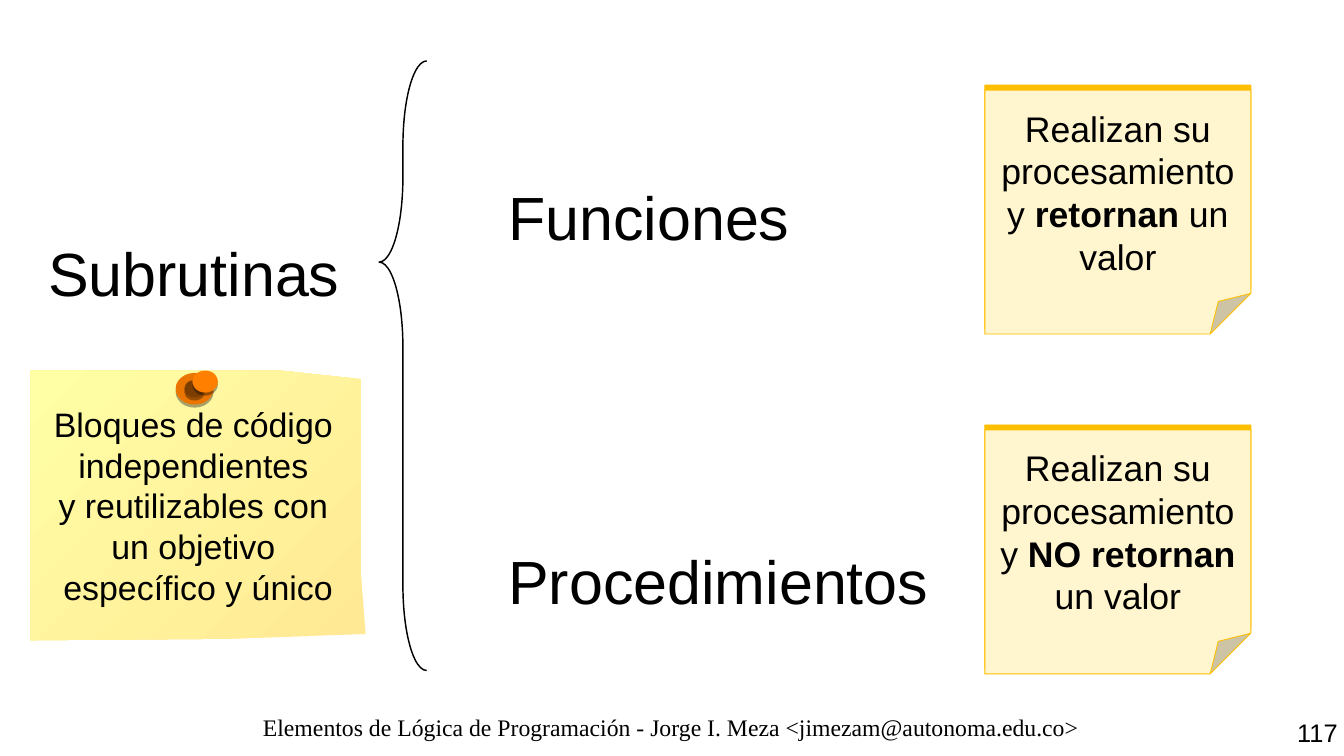
from lxml.etree import SubElement
from pptx import Presentation
from pptx.dml.color import RGBColor
from pptx.enum.shapes import MSO_SHAPE
from pptx.enum.text import MSO_ANCHOR, MSO_AUTO_SIZE, PP_ALIGN
from pptx.oxml.ns import qn
from pptx.util import Cm, Pt

COLORS = {
    "ink": "000000",
    "sticky_light": "FFFFA6",
    "sticky_dark": "FFE994",
    "pin_base": "EA7500",
    "pin_hole": "7B3D00",
    "pin_head": "FF8000",
    "note": "FFF5CE",
    "note_edge": "FFBF00",
}
RGB = {name: RGBColor.from_string(value) for name, value in COLORS.items()}


def write(shape, lines, size, font="Arial", align=PP_ALIGN.CENTER,
          anchor=MSO_ANCHOR.TOP, margins=(0.25, 0.13)):
    """Fill a shape with paragraphs; each line is a list of (text, bold) pairs."""
    frame = shape.text_frame
    frame.word_wrap = True
    frame.auto_size = MSO_AUTO_SIZE.NONE
    frame.vertical_anchor = anchor
    frame.margin_left = frame.margin_right = Cm(margins[0])
    frame.margin_top = frame.margin_bottom = Cm(margins[1])
    for index, line in enumerate(lines):
        para = frame.add_paragraph() if index else frame.paragraphs[0]
        para.alignment = align
        para.font.size = Pt(size)
        para.font.name = font
        para.font.color.rgb = RGB["ink"]
        for text, bold in line:
            span = para.add_run()
            span.text = text
            if bold:
                span.font.bold = True


def add_shadow(shape, color, opacity, distance, angle):
    """Give a shape a hard shadow: opacity in percent, distance in points, angle in degrees."""
    shape.shadow.inherit = False
    effects = shape._element.spPr.find(qn("a:effectLst"))
    shadow = SubElement(effects, qn("a:outerShdw"), blurRad="0", dist=str(Pt(distance)),
                        dir=str(angle * 60000), algn="ctr", rotWithShape="0")
    tint = SubElement(shadow, qn("a:srgbClr"), val=COLORS[color])
    SubElement(tint, qn("a:alpha"), val=str(opacity * 1000))


deck = Presentation()
deck.slide_width, deck.slide_height = Cm(28), Cm(15.75)
page = deck.slides.add_slide(deck.slide_layouts[5])

# Title
title = page.shapes.title
title.left, title.top, title.width, title.height = Cm(0.23), Cm(4.34), Cm(7.62), Cm(2.64)
write(title, [[("Subrutinas", False)]], 36, anchor=MSO_ANCHOR.MIDDLE, margins=(0, 0))

# Brace that opens the two kinds of subroutine
brace = page.shapes.add_shape(MSO_SHAPE.LEFT_BRACE, Cm(7.9), Cm(1.27), Cm(0.99), Cm(12.7))
brace.adjustments[0], brace.adjustments[1] = 1.79, 0.33
brace.fill.background()
brace.line.color.rgb = RGB["ink"]
brace.line.width = Pt(0.85)
brace.shadow.inherit = False

# Kinds of subroutine, each with its folded note
kinds = [("Funciones", "retornan"), ("Procedimientos", "NO retornan")]
for row, (kind, action) in enumerate(kinds):
    label = page.shapes.add_textbox(Cm(10.34), Cm(3.61 + 7.59 * row), Cm(9.5), Cm(1.71))
    write(label, [[(kind, False)]], 36, align=PP_ALIGN.LEFT)

    note = page.shapes.add_shape(MSO_SHAPE.FOLDED_CORNER, Cm(20.52), Cm(1.88 + 7.08 * row),
                                 Cm(5.54), Cm(5.08))
    note.fill.solid()
    note.fill.fore_color.rgb = RGB["note"]
    note.line.color.rgb = RGB["note_edge"]
    note.line.width = Pt(0.5)
    add_shadow(note, "note_edge", 100, 3, 270)
    write(note, [[("Realizan su", False)],
                 [("procesamiento y ", False), (action, True), (" un valor", False)]],
          21, anchor=MSO_ANCHOR.MIDDLE)

# Pinned sticky note with the definition
pinned = page.shapes.add_group_shape()
outline = [(0.64, 13.34), (4.67, 13.31), (7.62, 13.21), (7.52, 11.96),
           (7.52, 7.9), (5.84, 7.72), (0.64, 7.72)]
corners = [(Cm(x), Cm(y)) for x, y in outline]
builder = pinned.shapes.build_freeform(*corners[0])
builder.add_line_segments(corners[1:], close=True)
sticky = builder.convert_to_shape()
sticky.fill.gradient()
for stop, color in zip(sticky.fill.gradient_stops, ("sticky_light", "sticky_dark")):
    stop.color.rgb = RGB[color]
gradient = sticky._element.spPr.find(qn("a:gradFill"))
gradient.remove(gradient.find(qn("a:lin")))
radial = SubElement(gradient, qn("a:path"), path="circle")
SubElement(radial, qn("a:fillToRect"), l="0", t="0", r="100000", b="100000")
sticky.line.fill.background()
sticky.shadow.inherit = False
definition = ["Bloques de código ", "independientes ", "y reutilizables con ",
              "un objetivo ", "específico y único"]
write(sticky, [[(line, False)] for line in definition], 20, anchor=MSO_ANCHOR.MIDDLE)

pin_parts = [
    ("pin_base", 3.66, 7.77, 0.79, 0.66),
    ("pin_hole", 3.84, 7.92, 0.43, 0.36),
    ("pin_head", 4.01, 7.72, 0.53, 0.46),
]
for color, *place in pin_parts:
    disc = pinned.shapes.add_shape(MSO_SHAPE.OVAL, *map(Cm, place))
    disc.fill.solid()
    disc.fill.fore_color.rgb = RGB[color]
    disc.line.fill.background()
    add_shadow(disc, "ink", 35, 1.8, 90)

# Footer and page number
footer = page.shapes.add_textbox(Cm(1.3), Cm(14.86), Cm(25.37), Cm(0.8))
credit = "Elementos de Lógica de Programación - Jorge I. Meza <jimezam@autonoma.edu.co>"
write(footer, [[(credit, False)]], 14, font="Times New Roman", margins=(0, 0))

number = page.shapes.add_textbox(Cm(25.2), Cm(14.81), Cm(2.92), Cm(0.94))
write(number, [[("117", False)]], 15, align=PP_ALIGN.RIGHT)

deck.save("out.pptx")
